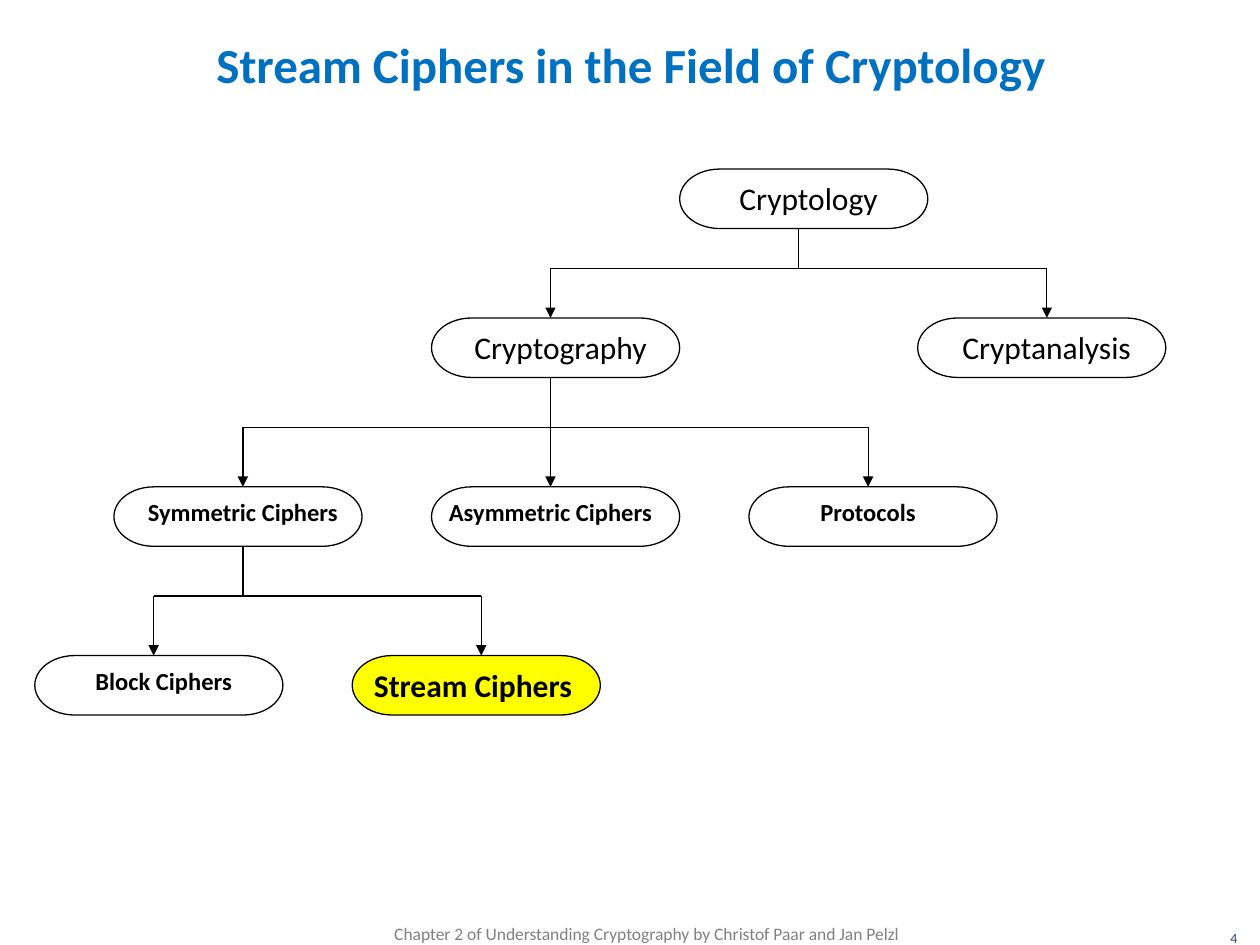
from pptx import Presentation, util as u
from pptx.dml.color import RGBColor
from pptx.enum import shapes, text
from pptx.oxml.ns import qn
from lxml import etree

Pt = u.Pt
FONT = "Calibri"
COLORS = {"title": "0070C0", "ink": "000000", "highlight": "FFFF00",
          "footer": "808080", "number": "394073"}

TITLE = "Stream Ciphers in the Field of Cryptology"
FOOTER = "Chapter 2 of Understanding Cryptography by Christof Paar and Jan Pelzl"
PAGE = "4"

NODE_W, NODE_H = 141.75, 34
LABEL_W, LABEL_DY = 136, 5.8

# Each level: top, then nodes as (label, left, label offset, size, bold, fill)
LEVELS = [
    (96.6, [("Cryptology", 388.4, 5.7, 18, False, None)]),
    (181.7, [("Cryptography", 246.6, 5.7, 18, False, None),
             ("Cryptanalysis", 524.4, 5.7, 18, False, None)]),
    (278.2, [("Symmetric Ciphers", 65.1, 5.7, 14, True, None),
             ("Asymmetric Ciphers", 246.6, 0, 14, True, None),
             ("Protocols", 428, 0, 14, True, None)]),
    (374.6, [("Block Ciphers", 19.9, 5.7, 14, True, None),
             ("Stream Ciphers", 201.3, 1, 18, True, "highlight")]),
]
# Branches between successive levels: stem x, bus y, arrow x positions
BRANCHES = [
    (456.4, 153.4, [314.6, 598.2]),
    (314.6, 244.2, [138.8, 314.6, 496.1]),
    (138.8, 340.6, [87.8, 275]),
]


def color(name):
    return RGBColor.from_string(COLORS[name])


def add_text(slide, words, box, size, ink, align, bold=False, inset=None,
             anchor=text.MSO_ANCHOR.TOP, spacing=None):
    sp = slide.shapes.add_textbox(*map(Pt, box))
    tf = sp.text_frame
    tf.word_wrap = True
    tf.vertical_anchor = anchor
    if inset is not None:
        tf.margin_left = tf.margin_right = Pt(inset)
        tf.margin_top = tf.margin_bottom = Pt(inset)
    p = tf.paragraphs[0]
    p.text = words
    p.alignment = align
    if spacing:
        p.line_spacing = spacing
    font = p.runs[0].font
    font.name, font.size, font.bold = FONT, Pt(size), bold
    font.color.rgb = color(ink)


def add_node(slide, top, label, left, offset, size, bold, fill):
    sp = slide.shapes.add_shape(shapes.MSO_SHAPE.FLOWCHART_TERMINATOR,
                                Pt(left), Pt(top), Pt(NODE_W), Pt(NODE_H))
    sp.shadow.inherit = False
    if fill:
        sp.fill.solid()
        sp.fill.fore_color.rgb = color(fill)
    else:
        sp.fill.background()
    sp.line.color.rgb = color("ink")
    sp.line.width = Pt(0.75)
    add_text(slide, label, (left + offset, top + LABEL_DY, LABEL_W, size * 1.22),
             size, "ink", text.PP_ALIGN.CENTER, bold, inset=0)


def add_line(slide, x1, y1, x2, y2, arrow=False):
    line = slide.shapes.add_connector(shapes.MSO_CONNECTOR.STRAIGHT,
                                      Pt(x1), Pt(y1), Pt(x2), Pt(y2))
    line.line.color.rgb = color("ink")
    line.line.width = Pt(0.75)
    if arrow:
        etree.SubElement(line.line._get_or_add_ln(), qn("a:tailEnd"), type="triangle")
    etree.SubElement(line._element.spPr, qn("a:effectLst"))


def main():
    prs = Presentation()
    prs.slide_width, prs.slide_height = Pt(720), Pt(540)
    slide = prs.slides.add_slide(prs.slide_layouts[6])

    # Title and footer
    add_text(slide, TITLE, (34, 16.6, 653, 40.3), 28, "title",
             text.PP_ALIGN.CENTER, True, anchor=text.MSO_ANCHOR.MIDDLE)
    add_text(slide, FOOTER, (218.2, 521.3, 340.6, 12.2), 10, "footer",
             text.PP_ALIGN.LEFT, spacing=1.2)
    add_text(slide, PAGE, (680.4, 527.8, 33.8, 12.2), 8, "number",
             text.PP_ALIGN.RIGHT)

    # Tree nodes
    for top, nodes in LEVELS:
        for node in nodes:
            add_node(slide, top, *node)

    # Branches: stem, bus and one arrow per child
    for (upper, _), (lower, _), (stem, bus, drops) in zip(LEVELS, LEVELS[1:], BRANCHES):
        add_line(slide, stem, upper + NODE_H, stem, bus)
        add_line(slide, drops[0], bus, drops[-1], bus)
        for x in drops:
            add_line(slide, x, bus, x, lower, arrow=True)

    prs.save("out.pptx")


if __name__ == "__main__":
    main()
